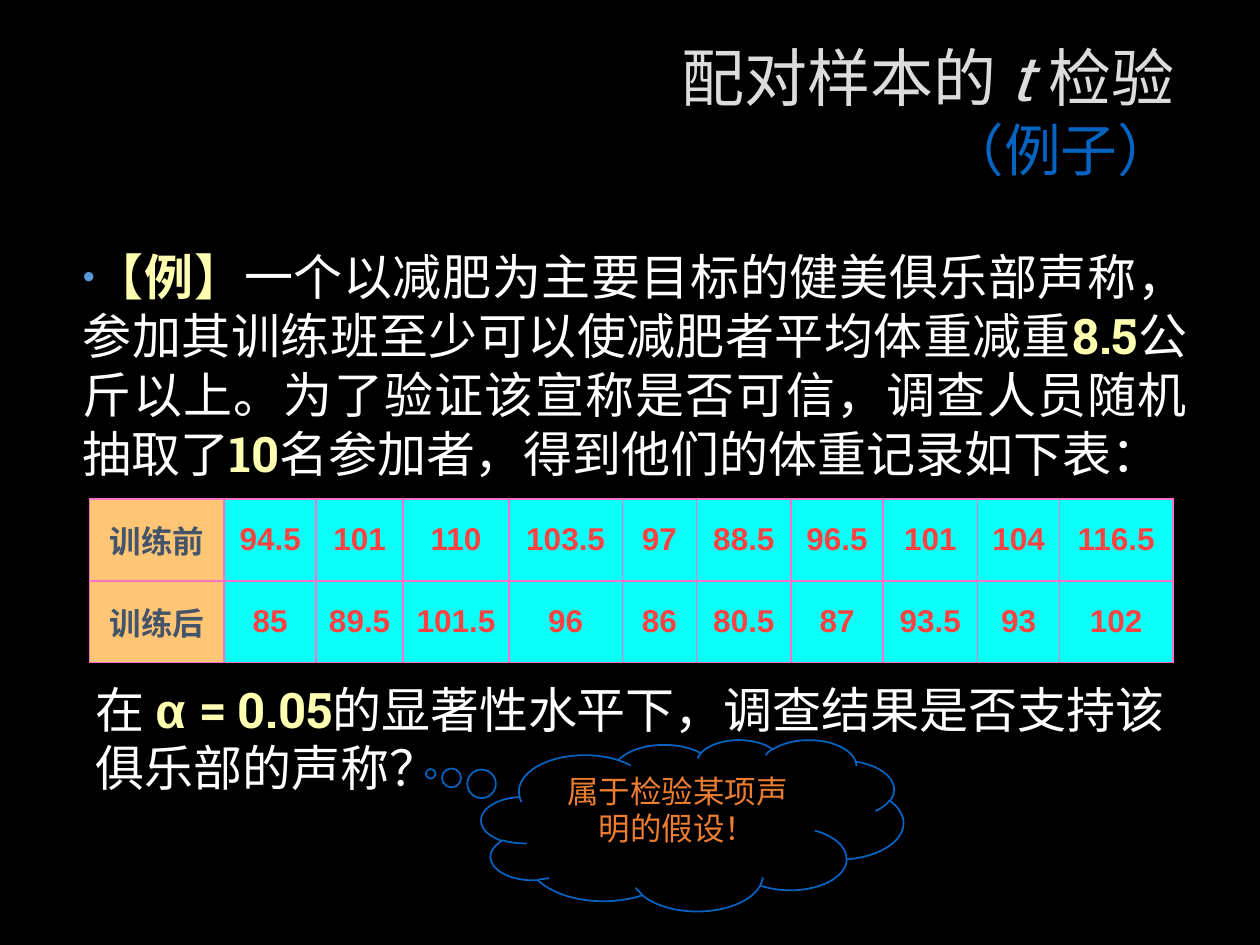
"""Build the paired-sample t test example slide with its weight table."""
from lxml import etree
from pptx import Presentation
from pptx.dml.color import RGBColor
from pptx.enum.shapes import MSO_SHAPE
from pptx.enum.text import MSO_ANCHOR, PP_ALIGN
from pptx.oxml import parse_xml
from pptx.oxml.ns import nsdecls, qn
from pptx.util import Inches, Pt

CENTER, RIGHT, JUSTIFY = PP_ALIGN.CENTER, PP_ALIGN.RIGHT, PP_ALIGN.JUSTIFY
TOP, MIDDLE, BOTTOM = MSO_ANCHOR.TOP, MSO_ANCHOR.MIDDLE, MSO_ANCHOR.BOTTOM
CLOUD = MSO_SHAPE.CLOUD_CALLOUT

BLACK = RGBColor(0x00, 0x00, 0x00)
WHITE = RGBColor(0xFF, 0xFF, 0xFF)
LIGHT_GRAY = RGBColor(0xDD, 0xDB, 0xDB)
BLUE = RGBColor(0x05, 0x63, 0xC1)
YELLOW = RGBColor(0xFF, 0xFF, 0xB1)
SLATE = RGBColor(0x44, 0x54, 0x6A)
RED = RGBColor(0xFF, 0x41, 0x41)
PEACH = RGBColor(0xFE, 0xC6, 0x74)
CYAN = RGBColor(0x0B, 0xFF, 0xF9)
ORANGE = RGBColor(0xED, 0x7D, 0x31)
BORDER_HEX = "FF73C6"
BULLET_HEX = "5B9BD5"
SLAB, ARIAL = "Roboto Slab", "Arial"


def add_run(paragraph, text, size, color, bold=False, name=SLAB):
    run = paragraph.add_run()
    run.text = text
    run.font.size = Pt(size)
    run.font.color.rgb = color
    run.font.bold = bold
    run.font.name = name
    return run


def set_borders(cell):
    properties = cell._tc.get_or_add_tcPr()
    for index, side in enumerate(("lnL", "lnR", "lnT", "lnB")):
        properties.insert(index, parse_xml(
            f'<a:{side} {nsdecls("a")} w="12700"><a:solidFill>'
            f'<a:srgbClr val="{BORDER_HEX}"/></a:solidFill></a:{side}>'))


presentation = Presentation()
presentation.slide_width = Inches(10)
presentation.slide_height = Inches(7.5)
slide = presentation.slides.add_slide(presentation.slide_layouts[5])
slide.background.fill.solid()
slide.background.fill.fore_color.rgb = BLACK

title = slide.shapes.title
title.left, title.top = Inches(2), Inches(0.25)
title.width, title.height = Inches(7.42), Inches(1.25)
title.text_frame.vertical_anchor = BOTTOM
paragraph = title.text_frame.paragraphs[0]
paragraph.alignment = RIGHT
add_run(paragraph, "配对样本的 ", 36, LIGHT_GRAY)
add_run(paragraph, "t ", 36, LIGHT_GRAY).font.italic = True
add_run(paragraph, "检验", 36, LIGHT_GRAY)
paragraph.add_line_break()
add_run(paragraph, "（例子）", 32.4, BLUE)

example = slide.shapes.add_textbox(Inches(0.56), Inches(1.91), Inches(8.96), Inches(2))
example.text_frame.word_wrap = True
paragraph = example.text_frame.paragraphs[0]
paragraph.alignment = JUSTIFY
properties = paragraph._p.get_or_add_pPr()
bullet_color = etree.SubElement(properties, qn("a:buClr"))
etree.SubElement(bullet_color, qn("a:srgbClr"), val=BULLET_HEX)
etree.SubElement(properties, qn("a:buSzPct"), val="70000")
etree.SubElement(properties, qn("a:buFont"), typeface=ARIAL)
etree.SubElement(properties, qn("a:buChar"), char="•")
for text, highlighted in (
    ("【例】", True),
    ("一个以减肥为主要目标的健美俱乐部声称，参加其训练班至少可以使减肥者平均体重减重", False),
    ("8.5", True),
    ("公斤以上。为了验证该宣称是否可信，调查人员随机抽取了", False),
    ("10", True),
    ("名参加者，得到他们的体重记录如下表：", False),
):
    add_run(paragraph, text, 28, YELLOW if highlighted else WHITE, highlighted)

question = slide.shapes.add_textbox(Inches(0.66), Inches(5.34), Inches(8.77), Inches(1.03))
question.text_frame.word_wrap = True
paragraph = question.text_frame.paragraphs[0]
add_run(paragraph, "在 ", 28, WHITE)
add_run(paragraph, "α ", 28, YELLOW, True, ARIAL)
add_run(paragraph, "= 0.05", 28, YELLOW, True)
add_run(paragraph, "的显著性水平下，调查结果是否支持该俱乐部的声称？", 28, WHITE)

weights = (
    ("训练前", "94.5", "101", "110", "103.5", "97", "88.5", "96.5", "101", "104", "116.5"),
    ("训练后", "85", "89.5", "101.5", "96", "86", "80.5", "87", "93.5", "93", "102"),
)
column_widths = (1.07, 0.73, 0.69, 0.84, 0.9, 0.59, 0.75, 0.73, 0.75, 0.65, 0.9)
table = slide.shapes.add_table(
    len(weights), len(column_widths), Inches(0.71), Inches(3.96), Inches(8.61), Inches(1.3)
).table
for column, width in zip(table.columns, column_widths):
    column.width = Inches(width)
for row_index, values in enumerate(weights):
    for column_index, value in enumerate(values):
        is_label = column_index == 0
        cell = table.cell(row_index, column_index)
        cell.fill.solid()
        cell.fill.fore_color.rgb = PEACH if is_label else CYAN
        cell.vertical_anchor = MIDDLE
        cell.margin_left = cell.margin_right = Inches(0.05)
        set_borders(cell)
        paragraph = cell.text_frame.paragraphs[0]
        paragraph.alignment = CENTER
        add_run(paragraph, value, 18, SLATE if is_label else RED, True, ARIAL)

cloud = slide.shapes.add_shape(CLOUD, Inches(3.82), Inches(5.87), Inches(3.35), Inches(1.36))
cloud.adjustments[0], cloud.adjustments[1] = -0.62, -0.3
cloud.shadow.inherit = False
cloud.fill.background()
cloud.line.color.rgb = BLUE
cloud.line.width = Pt(1)
cloud.text_frame.word_wrap = True
cloud.text_frame.vertical_anchor = TOP
paragraph = cloud.text_frame.paragraphs[0]
paragraph.alignment = CENTER
add_run(paragraph, "属于检验某项声明的假设！", 18, ORANGE)

presentation.save("out.pptx")
